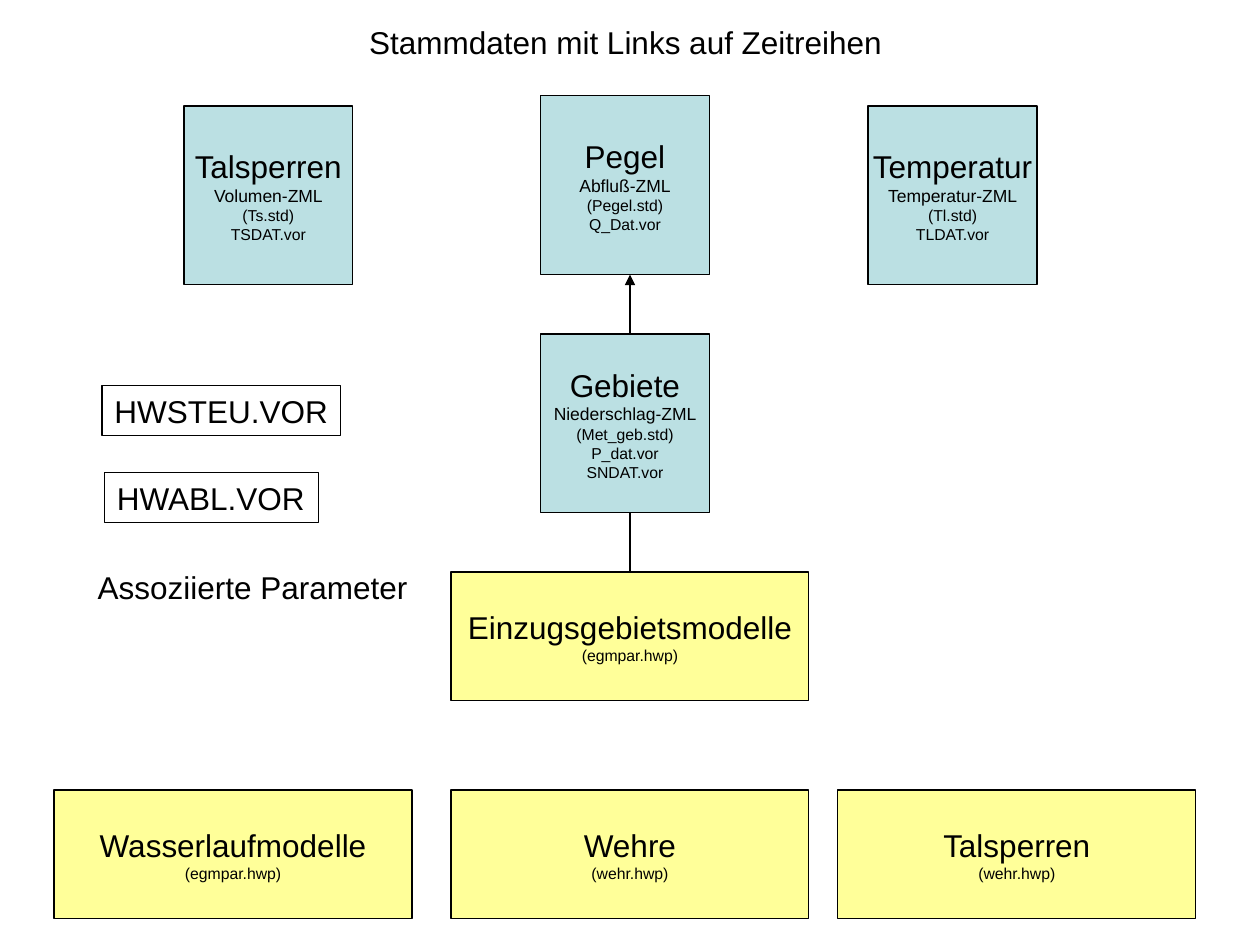
"""Build the slide of master data boxes linked to time series and parameters."""
from lxml.etree import SubElement
from pptx import Presentation
from pptx.dml.color import RGBColor
from pptx.enum.shapes import MSO_CONNECTOR as Connector, MSO_SHAPE as Shape
from pptx.enum.text import MSO_ANCHOR as Anchor, MSO_AUTO_SIZE as AutoSize, PP_ALIGN as Align
from pptx.oxml.ns import qn
from pptx.util import Inches, Pt

BLACK = RGBColor(0, 0, 0)
BLUE = RGBColor(0xBB, 0xE0, 0xE3)
YELLOW = RGBColor(0xFF, 0xFF, 0x99)

DATA_SIZE = (1.34, 1.42)
MODEL_SIZE = (2.84, 1.02)
DATA_FONTS = (18, 10, 9, 9, 9)
MODEL_FONTS = (18, 9)

DATA_BOXES = [
    (4.29, 0.76, ["Pegel", "Abfluß-ZML", "(Pegel.std)", "Q_Dat.vor"]),
    (1.46, 0.84, ["Talsperren", "Volumen-ZML", "(Ts.std)", "TSDAT.vor"]),
    (6.89, 0.84, ["Temperatur", "Temperatur-ZML", "(Tl.std)", "TLDAT.vor"]),
    (4.29, 2.65, ["Gebiete", "Niederschlag-ZML", "(Met_geb.std)", "P_dat.vor", "SNDAT.vor"]),
]
MODEL_BOXES = [
    (3.58, 4.54, ["Einzugsgebietsmodelle", "(egmpar.hwp)"]),
    (0.43, 6.27, ["Wasserlaufmodelle", "(egmpar.hwp)"]),
    (3.58, 6.27, ["Wehre", "(wehr.hwp)"]),
    (6.65, 6.27, ["Talsperren", "(wehr.hwp)"]),
]
HEADINGS = [
    (2.8, 0.13, 4.33, "Stammdaten mit Links auf Zeitreihen"),
    (0.51, 4.46, 2.99, "Assoziierte Parameter"),
]
FILE_LABELS = [(0.81, 3.06, 1.89, "HWSTEU.VOR"), (0.83, 3.75, 1.7, "HWABL.VOR")]
LINE_X = 5
LINES = [(4.97, 4.06, False), (3.08, 2.18, True)]
LABEL_HEIGHT = 0.4


def apply(target, **values):
    for name, value in values.items():
        setattr(target, name, value)


def write(shape, lines, sizes, paragraph_format, **frame_format):
    frame = shape.text_frame
    apply(frame, **frame_format)
    for index, (line, size) in enumerate(zip(lines, sizes)):
        paragraph = frame.paragraphs[0] if index == 0 else frame.add_paragraph()
        apply(paragraph, **paragraph_format)
        run = paragraph.add_run()
        run.text = line
        apply(run.font, name="Arial", size=Pt(size))
        run.font.color.rgb = BLACK


def outline(shape):
    shape.line.color.rgb = BLACK
    shape.line.width = Pt(0.75)


def add_box(slide, bounds, fill=None):
    shape = slide.shapes.add_shape(Shape.RECTANGLE, *map(Inches, bounds))
    shape.shadow.inherit = False
    outline(shape)
    if fill is None:
        shape.fill.background()
    else:
        shape.fill.solid()
        shape.fill.fore_color.rgb = fill
    return shape


def add_line(slide, start_y, end_y, arrow):
    ends = map(Inches, (LINE_X, start_y, LINE_X, end_y))
    line = slide.shapes.add_connector(Connector.STRAIGHT, *ends)
    outline(line)
    if arrow:
        SubElement(line.line._get_or_add_ln(), qn("a:tailEnd"), type="triangle")
    SubElement(line._element.spPr, qn("a:effectLst"))


def main():
    presentation = Presentation()
    apply(presentation, slide_width=Inches(10), slide_height=Inches(7.5))
    slide = presentation.slides.add_slide(presentation.slide_layouts[6])

    for line in LINES:
        add_line(slide, *line)

    for boxes, size, fonts, fill in (
        (DATA_BOXES, DATA_SIZE, DATA_FONTS, BLUE),
        (MODEL_BOXES, MODEL_SIZE, MODEL_FONTS, YELLOW),
    ):
        for left, top, lines in boxes:
            box = add_box(slide, (left, top, *size), fill)
            write(box, lines, fonts, {"alignment": Align.CENTER},
                  word_wrap=False, vertical_anchor=Anchor.MIDDLE)

    for left, top, width, text in HEADINGS:
        heading = slide.shapes.add_textbox(*map(Inches, (left, top, width, LABEL_HEIGHT)))
        write(heading, [text], [18], {"alignment": Align.CENTER, "space_before": Pt(11.2)},
              word_wrap=True, auto_size=AutoSize.SHAPE_TO_FIT_TEXT)

    for left, top, width, text in FILE_LABELS:
        label = add_box(slide, (left, top, width, LABEL_HEIGHT))
        write(label, [text], [18], {"alignment": Align.LEFT}, word_wrap=False,
              vertical_anchor=Anchor.TOP, auto_size=AutoSize.NONE)

    presentation.save("out.pptx")


if __name__ == "__main__":
    main()
